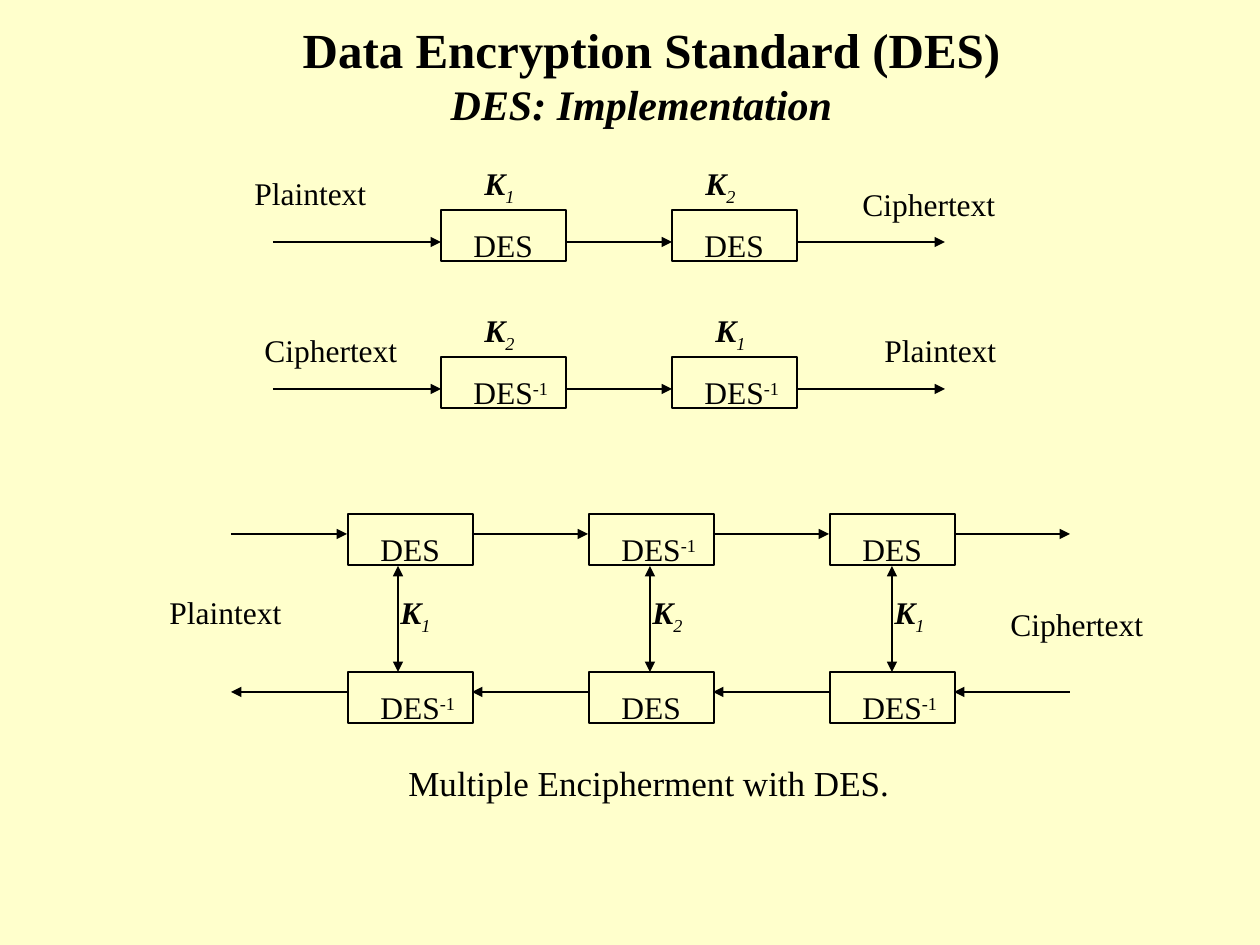
"""Build a slide that shows multiple encipherment with DES."""
from lxml.etree import SubElement as Sub
from pptx import Presentation
from pptx.dml.color import RGBColor
from pptx.enum.shapes import MSO_CONNECTOR as Link, MSO_SHAPE as Form
from pptx.enum.text import PP_ALIGN as Align
from pptx.oxml.ns import qn
from pptx.util import Pt

PX = 914400 // 126
BLACK = RGBColor(0, 0, 0)
CREAM = RGBColor(0xFF, 0xFF, 0xCC)
FONT = "Times New Roman"
BASE = {"name": FONT, "size": Pt(18)}
KEY = BASE | {"bold": True, "italic": True}
SUB = BASE | {"italic": True}
HEAD = BASE | {"size": Pt(28), "bold": True}
SECOND = KEY | {"size": Pt(24)}
NOTE = BASE | {"size": Pt(20)}
KINDS = {
    "DES": [("DES", BASE, 0)],
    "INV": [("DES", BASE, 0), ("-1", BASE, 30000)],
    "K1": [("K", KEY, 0), ("1", SUB, -25000)],
    "K2": [("K", KEY, 0), ("2", SUB, -25000)],
}

deck = Presentation()
deck.slide_width, deck.slide_height = 1260 * PX, 945 * PX
slide = deck.slides.add_slide(deck.slide_layouts[6])
slide.background.fill.solid()
slide.background.fill.fore_color.rgb = CREAM
shapes = slide.shapes


def write(at, *lines, align=Align.LEFT):
    frame = shapes.add_textbox(*[n * PX for n in at]).text_frame
    frame.word_wrap = True
    for i, line in enumerate(lines):
        para = frame.add_paragraph() if i else frame.paragraphs[0]
        para.alignment = align
        for text, style, base in line:
            run = para.add_run()
            run.text = text
            run.font.color.rgb = BLACK
            for name, value in style.items():
                setattr(run.font, name, value)
            if base:
                run._r.get_or_add_rPr().set("baseline", str(base))
    return frame


def arrow(x1, y1, x2, y2, ends):
    line = shapes.add_connector(Link.STRAIGHT, *[n * PX for n in (x1, y1, x2, y2)])
    line.line.color.rgb = BLACK
    line.line.width = Pt(1)
    for end in ends:
        Sub(line.line._get_or_add_ln(), qn(f"a:{end}"), type="triangle")
    Sub(line._element.spPr, qn("a:effectLst"))


title = write((266, 13, 771, 121), [("Data Encryption Standard (DES)", HEAD, 0)],
              [("DES: Implementation", SECOND, 0)], align=Align.CENTER)
title.paragraphs[1]._p.get_or_add_pPr().set("marR", str(20 * PX))
write((396, 755, 515, 54), [("Multiple Encipherment with DES.", NOTE, 0)])

labels = [
    ("Plaintext", 242, 168), ("Ciphertext", 850, 179),
    ("Ciphertext", 252, 325), ("Plaintext", 872, 325),
    ("Plaintext", 157, 587), ("Ciphertext", 998, 599),
]
for text, x, y in labels:
    write((x, y, 168, 50), [(text, BASE, 0)])

boxes = []
for row, kind in enumerate(("DES", "INV")):
    shift = 147 * row
    boxes += [(kind, x, 210 + shift) for x in (441, 672)]
    for start, stop in ((273, 441), (567, 672), (798, 945)):
        arrow(start, 242 + shift, stop, 242 + shift, ["tailEnd"])

chains = [(514, ("DES", "INV", "DES"), "tailEnd"), (672, ("INV", "DES", "INV"), "headEnd")]
for y, kinds, end in chains:
    boxes += [(kind, 348 + 241 * i, y) for i, kind in enumerate(kinds)]
    for i in range(len(kinds) + 1):
        x = 231 + 241 * i
        arrow(x, y + 20, x + 116, y + 20, [end])

for kind, x, y in boxes:
    box = shapes.add_shape(Form.RECTANGLE, x * PX, y * PX, 125 * PX, 51 * PX)
    box.shadow.inherit = False
    box.fill.background()
    box.line.color.rgb = BLACK
    box.line.width = Pt(1)
    write((x + 20, y + 10, 136 if kind == "INV" else 105, 50), KINDS[kind])

keys = [("K1", 472, 158), ("K2", 693, 158), ("K2", 472, 305), ("K1", 703, 305)]
for key, x in (("K1", 398), ("K2", 650), ("K1", 892)):
    arrow(x, 566, x, 672, ["headEnd", "tailEnd"])
    keys.append((key, x - 10, 587))
for key, x, y in keys:
    write((x, y, 73, 55), KINDS[key])

deck.save("out.pptx")
